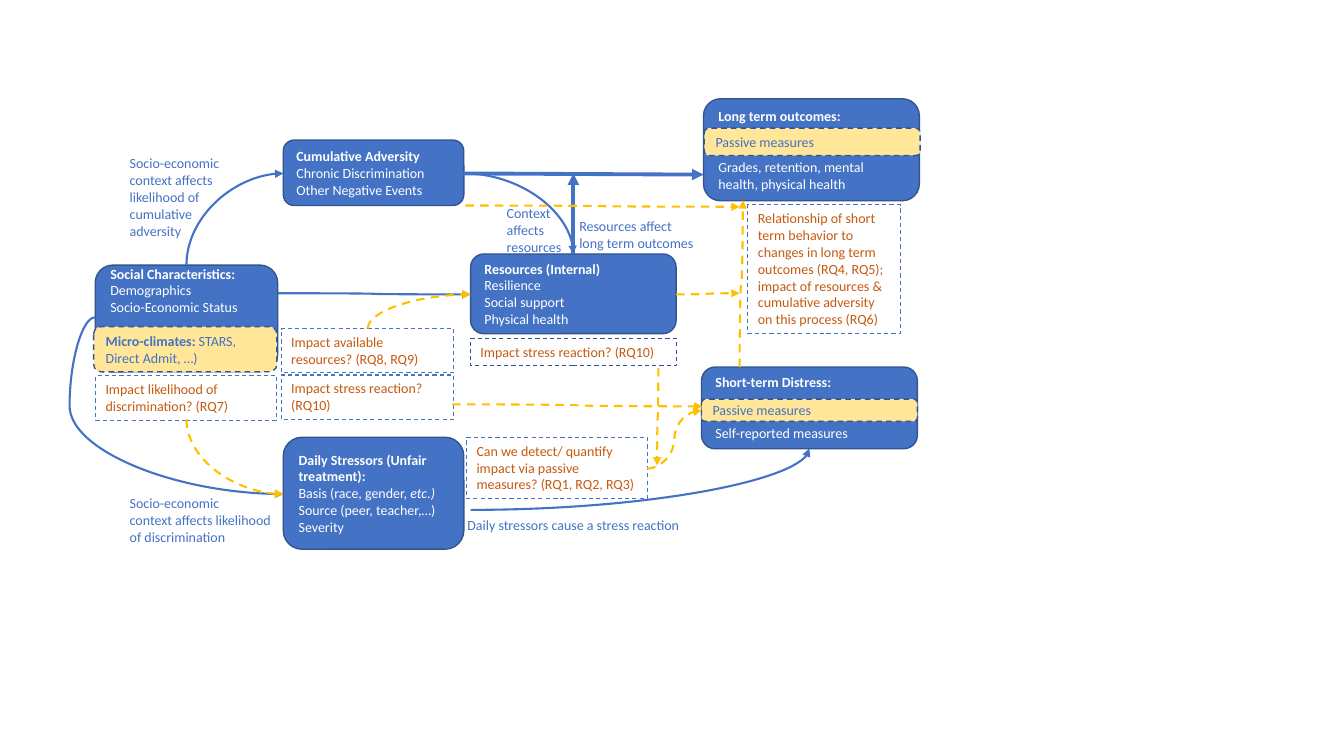
from lxml.etree import SubElement
from pptx import Presentation
from pptx.dml.color import RGBColor
from pptx.enum.dml import MSO_LINE
from pptx.enum.shapes import MSO_CONNECTOR as Link, MSO_SHAPE as Kind
from pptx.enum.text import MSO_ANCHOR as Anchor, PP_ALIGN as Align
from pptx.oxml.ns import qn
from pptx.util import Cm, Pt

COLORS = {"blue": "4472C4", "navy": "325491", "cream": "FFE699",
          "gold": "FFC000", "rust": "C55A11", "white": "FFFFFF"}
FONT, SIZE = "Calibri", 10

# place, paragraphs of (text, style) runs, gap before the last paragraph, bottom inset
CONCEPTS = [
    ((17.68, 9.25, 5.44, 2.06),
     [[("Short-term Distress:", "b")], [("Self-reported measures", "")]], 24.4, 0.13),
    ((11.86, 6.4, 5.18, 2.01),
     [[("Resources (Internal)\n", "b"), ("Resilience\nSocial support", "")],
      [("Physical health", "")]], 0, 0.13),
    ((7.14, 11.02, 4.55, 2.82),
     [[("Daily Stressors (Unfair treatment):\n", "b"), ("Basis (race, gender, ", ""),
       ("etc.)\n", "i"), ("Source (peer, teacher,…)", "")], [("Severity", "")]], 0, 0.13),
    ((2.4, 6.68, 4.6, 2.69),
     [[("Social Characteristics:\n", "b"), ("Demographics", "")],
      [("Socio-Economic Status", "")]], 0, 1.42),
    ((17.73, 2.49, 5.44, 2.57),
     [[("Long term outcomes:", "b")],
      [("Grades, retention, mental health, physical health", "")]], 24.4, 0.13),
    ((7.14, 3.53, 4.55, 1.65),
     [[("Cumulative Adversity ", "b"), ("Chronic Discrimination", "")],
      [("Other Negative Events", "")]], 0, 0.13),
]
BANDS = [
    ((2.36, 8.23, 4.62, 1.14), [[("Micro-climates:", "b"), (" STARS, Direct Admit, …)", "")]]),
    ((17.68, 10.06, 5.44, 0.56), [[("Passive measures", "")]]),
    ((17.75, 3.23, 5.44, 0.69), [[("Passive measures", "")]]),
]
QUESTIONS = [
    ((11.86, 8.53, 5.18, 0.69), "Impact stress reaction? (RQ10)", "navy"),
    ((18.85, 5.16, 3.84, 3.25),
     "Relationship of short term behavior to changes in long term outcomes (RQ4, RQ5); "
     "impact of resources & cumulative adversity on this process (RQ6)", "blue"),
    ((11.76, 11.02, 4.55, 1.55),
     "Can we detect/ quantify impact via passive measures? (RQ1, RQ2, RQ3)", "blue"),
    ((7.09, 8.28, 4.34, 1.12), "Impact available resources? (RQ8, RQ9)", "blue"),
    ((7.09, 9.45, 4.34, 1.12), "Impact stress reaction? (RQ10)", "blue"),
    ((2.41, 9.47, 4.57, 1.12), "Impact likelihood of discrimination? (RQ7)", "blue"),
]
NOTES = [
    ((12.52, 5.03, 3.4, 1.55), ["Context \naffects \nresources"]),
    ((3.02, 12.34, 5.64, 1.55),
     ["Socio-economic  \ncontext affects likelihood \nof discrimination"]),
    ((3.02, 3.78, 3.05, 2.39),
     ["Socio-economic context affects likelihood of cumulative adversity"]),
    ((14.35, 5.36, 3.66, 1.12), ["Resources affect", "long term outcomes"]),
    ((11.53, 12.88, 6.07, 0.69), ["Daily stressors cause a stress reaction"]),
]
STRAIGHT_ARROWS = [((11.68, 4.37), (17.73, 4.4)), ((14.45, 6.4), (14.45, 4.37))]
# start, end, color, bend count, leaves vertically, bend position
CURVED_ARROWS = [
    ((16.59, 9.27), (16.56, 11.73), "gold", 3, True, 50000),
    ((18.64, 9.25), (18.72, 5.05), "gold", 3, True, 50000),
    ((7.01, 7.39), (11.86, 7.42), "blue", 3, False, 50000),
    ((2.39, 8.0), (7.14, 12.45), "blue", 3, False, -13400),
    ((17.04, 7.42), (18.64, 7.39), "gold", 3, False, 50000),
    ((4.7, 6.68), (7.14, 4.37), "blue", 2, True, None),
    ((11.68, 4.37), (14.45, 6.4), "blue", 2, False, None),
    ((4.7, 10.57), (7.14, 12.45), "gold", 2, True, None),
    ((9.27, 8.28), (11.86, 7.42), "gold", 2, True, None),
    ((11.4, 10.19), (17.7, 10.24), "gold", 3, False, 50000),
    ((16.31, 11.81), (17.68, 10.34), "gold", 3, False, 50000),
    ((11.73, 5.18), (18.64, 5.21), "gold", 3, False, 50000),
    ((11.86, 12.85), (20.4, 11.3), "blue", 2, False, None),
]


def color(name):
    return RGBColor.from_string(COLORS[name])


def write(shape, paragraphs, ink, gap=0):
    frame = shape.text_frame
    frame.word_wrap = True
    for index, runs in enumerate(paragraphs):
        para = frame.add_paragraph() if index else frame.paragraphs[0]
        para.alignment = Align.LEFT
        if gap and index == len(paragraphs) - 1:
            para.space_before = Pt(gap)
        for text, style in runs:
            for number, piece in enumerate(text.split("\n")):
                if number:
                    para.add_line_break()
                if piece:
                    span = para.add_run()
                    span.text = piece
                    span.font.name, span.font.size = FONT, Pt(SIZE)
                    span.font.bold, span.font.italic = style == "b", style == "i"
                    span.font.color.rgb = color(ink)


def add_box(page, kind, place, fill, line, width, dashed, anchor):
    box = page.shapes.add_shape(kind, *map(Cm, place))
    box.shadow.inherit = False
    if fill:
        box.fill.solid()
        box.fill.fore_color.rgb = color(fill)
    else:
        box.fill.background()
    box.line.color.rgb = color(line)
    box.line.width = Pt(width)
    if dashed:
        box.line.dash_style = MSO_LINE.DASH
    box.text_frame.vertical_anchor = anchor
    return box


def add_arrow(page, kind, start, end, ink, width):
    arrow = page.shapes.add_connector(kind, *map(Cm, start + end))
    arrow.line.color.rgb = color(ink)
    arrow.line.width = Pt(width)
    if ink == "gold":
        arrow.line.dash_style = MSO_LINE.DASH
    SubElement(arrow.line._get_or_add_ln(), qn("a:tailEnd"), type="triangle")
    SubElement(arrow._element.spPr, qn("a:effectLst"))
    return arrow


def add_curve(page, start, end, ink, bends, vertical, bend_at):
    if vertical:
        mid_x, mid_y = (start[0] + end[0]) / 2, (start[1] + end[1]) / 2
        half_x, half_y = (end[1] - start[1]) / 2, (start[0] - end[0]) / 2
        start, end = (mid_x - half_x, mid_y - half_y), (mid_x + half_x, mid_y + half_y)
    arrow = add_arrow(page, Link.CURVE, start, end, ink, 1.5)
    properties = arrow._element.spPr
    if vertical:
        properties.find(qn("a:xfrm")).set("rot", "5400000")
    geometry = properties.find(qn("a:prstGeom"))
    geometry.set("prst", f"curvedConnector{bends}")
    if bend_at is not None:
        guides = geometry.find(qn("a:avLst"))
        SubElement(guides, qn("a:gd"), name="adj1", fmla=f"val {bend_at}")


def main():
    deck = Presentation()
    deck.slide_width, deck.slide_height = Cm(33.87), Cm(19.05)
    page = deck.slides.add_slide(deck.slide_layouts[6])

    for place, paragraphs, gap, inset in CONCEPTS:
        box = add_box(page, Kind.ROUNDED_RECTANGLE, place, "blue", "navy", 1, False, Anchor.MIDDLE)
        if inset > 1:
            box.text_frame.margin_top = 0
        box.text_frame.margin_bottom = Cm(inset)
        write(box, paragraphs, "white", gap)
    for place, paragraphs in BANDS:
        box = add_box(page, Kind.ROUNDED_RECTANGLE, place, "cream", "navy", 1, True, Anchor.MIDDLE)
        write(box, paragraphs, "blue")
    for place, text, line in QUESTIONS:
        box = add_box(page, Kind.RECTANGLE, place, None, line, 0.75, True, Anchor.TOP)
        write(box, [[(text, "")]], "rust")
    for place, lines in NOTES:
        write(page.shapes.add_textbox(*map(Cm, place)), [[(text, "")] for text in lines], "blue")
    for start, end in STRAIGHT_ARROWS:
        add_arrow(page, Link.STRAIGHT, start, end, "blue", 2.75)
    for curve in CURVED_ARROWS:
        add_curve(page, *curve)

    deck.save("out.pptx")


if __name__ == "__main__":
    main()
